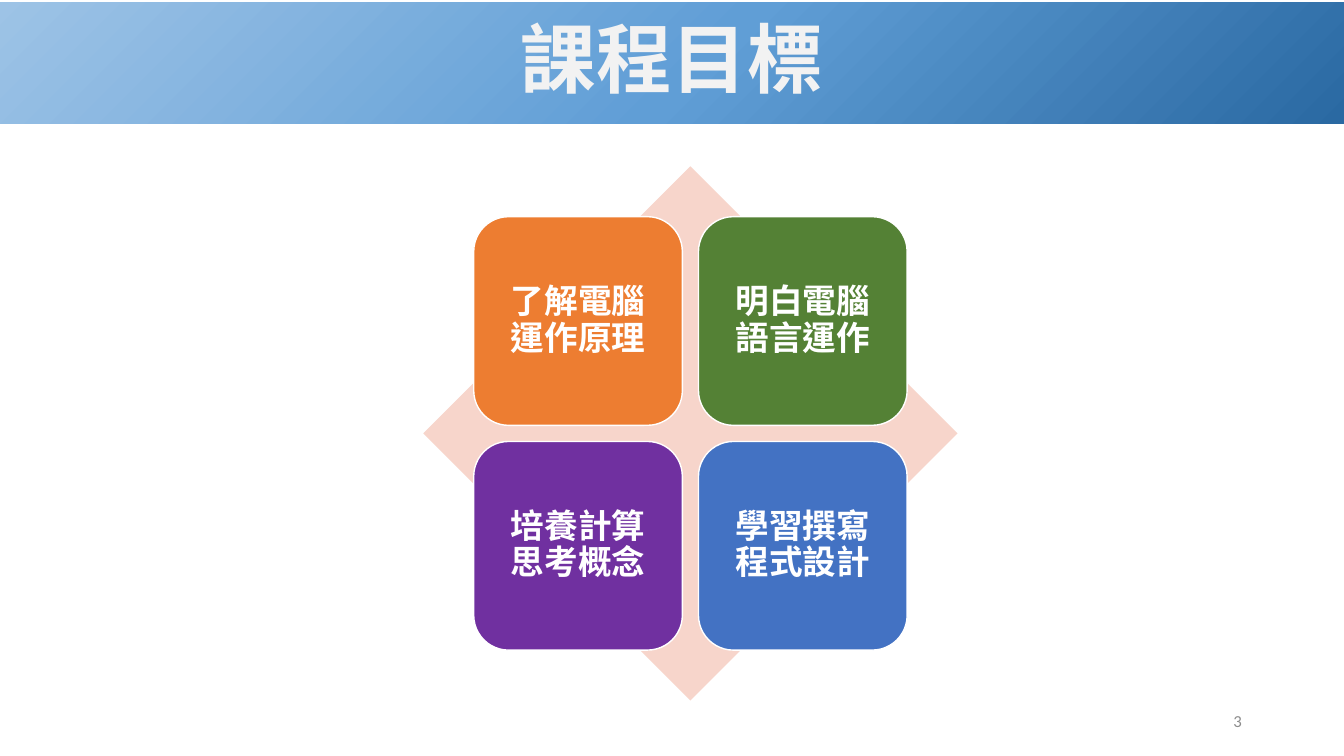
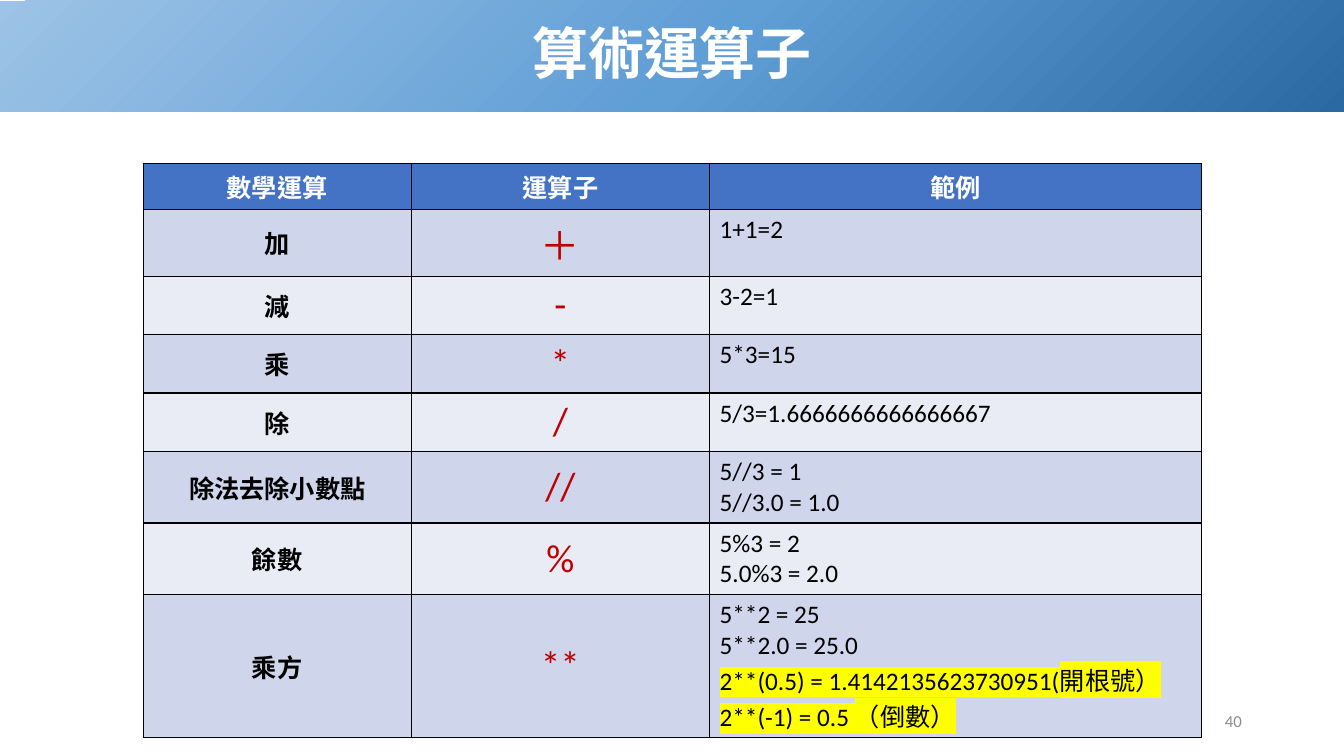
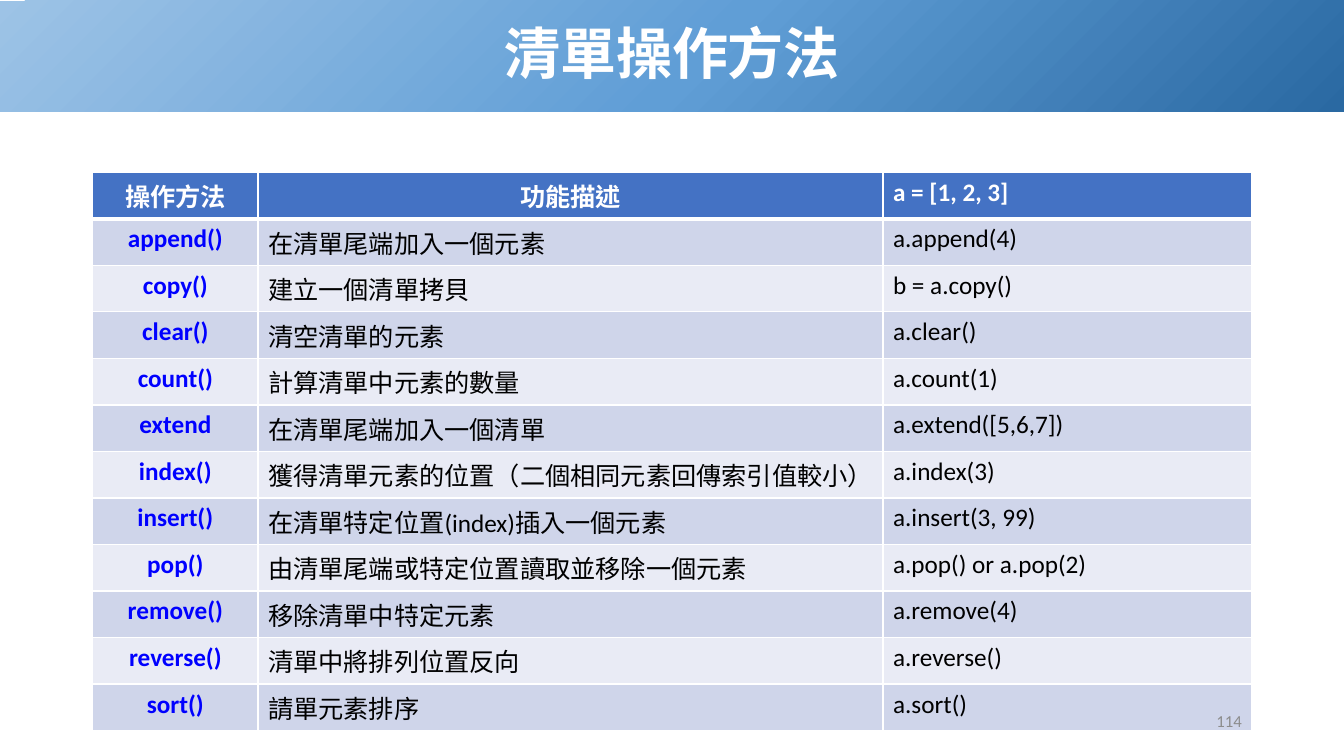
from pptx import Presentation
from pptx.dml.color import RGBColor
from pptx.enum.lang import MSO_LANGUAGE_ID
from pptx.enum.shapes import MSO_SHAPE
from pptx.enum.text import MSO_ANCHOR, PP_ALIGN
from pptx.oxml import parse_xml
from pptx.oxml.ns import nsdecls
from pptx.util import Inches, Pt

LEFT, CENTER, RIGHT = PP_ALIGN.LEFT, PP_ALIGN.CENTER, PP_ALIGN.RIGHT
TOP, MIDDLE = MSO_ANCHOR.TOP, MSO_ANCHOR.MIDDLE
DIAMOND, ROUNDED, RECTANGLE = MSO_SHAPE.DIAMOND, MSO_SHAPE.ROUNDED_RECTANGLE, MSO_SHAPE.RECTANGLE
CHINESE = MSO_LANGUAGE_ID.TRADITIONAL_CHINESE

WHITE, BLACK, GRAY = "FFFFFF", "000000", "8C8C8C"
HEADER_BLUE, BANDS = "4472C4", ("CFD5EA", "E9EBF5")
OPERATOR_RED, METHOD_BLUE, HIGHLIGHT = "C00000", "0000FF", "FFFF00"
BAND_STOPS = ((0, "2A69A2"), (48, "609ED6"), (100, "9DC3E6"))
SLIDE_WIDTH, SLIDE_HEIGHT = 40 / 3, 7.5

color = RGBColor.from_string


def write(frame, text, size, ink, bold=False, align=CENTER, font="Calibri",
          spacing=None, marked=()):
    """Write each line of text as a paragraph; marked lines get a highlight."""
    frame.word_wrap = True
    for index, line in enumerate(text.split("\n")):
        paragraph = frame.paragraphs[0] if index == 0 else frame.add_paragraph()
        paragraph.alignment = align
        if spacing:
            paragraph.line_spacing = spacing
        run = paragraph.add_run()
        run.text = line
        run.font.size = Pt(size)
        run.font.bold = bold
        run.font.color.rgb = color(ink)
        run.font.name = font
        run.font.language_id = CHINESE
        if index in marked:
            latin = run.font._element.find("{*}latin")
            latin.addprevious(parse_xml(
                f'<a:highlight {nsdecls("a")}><a:srgbClr val="{HIGHLIGHT}"/></a:highlight>'))


def add_block(slide, kind, left, top, width, height, fill=None, line=None):
    """Add a shape without shadow; with no fill given, it takes the band gradient."""
    shape = slide.shapes.add_shape(kind, Inches(left), Inches(top), Inches(width), Inches(height))
    shape.shadow.inherit = False
    if fill:
        shape.fill.solid()
        shape.fill.fore_color.rgb = color(fill)
    else:
        stops = "".join(f'<a:gs pos="{position * 1000}"><a:srgbClr val="{tint}"/></a:gs>'
                        for position, tint in BAND_STOPS)
        shape._element.spPr.find("{*}prstGeom").addnext(parse_xml(
            f'<a:gradFill {nsdecls("a")} rotWithShape="1"><a:gsLst>{stops}</a:gsLst>'
            '<a:path path="circle"><a:fillToRect l="100000" t="100000"/></a:path>'
            '<a:tileRect r="-100000" b="-100000"/></a:gradFill>'))
    if line:
        shape.line.color.rgb = color(line)
        shape.line.width = Pt(1)
    else:
        shape.line.fill.background()
    return shape


presentation = Presentation()
presentation.slide_width = Inches(SLIDE_WIDTH)
presentation.slide_height = Inches(SLIDE_HEIGHT)

# Title bands: title, size, colour, box
titles = [
    ("課程目標", 54, "F2F2F2", (-0.01, 0.02, 13.35, 1.21)),
    ("算術運算子", 40, WHITE, (0, 0.01, SLIDE_WIDTH, 1.1)),
    ("清單操作方法", 40, WHITE, (0, 0.01, SLIDE_WIDTH, 1.1)),
]
slides = []
for title, size, ink, box in titles:
    slide = presentation.slides.add_slide(presentation.slide_layouts[6])
    band = add_block(slide, RECTANGLE, *box)
    band.text_frame.vertical_anchor = MIDDLE
    write(band.text_frame, title, size, ink, bold=True, spacing=0.9)
    slides.append(slide)
goals_slide, operators_slide, methods_slide = slides

# Course goals: four tiles on a diamond
goals = [("了解電腦運作原理", "ED7D31"), ("明白電腦語言運作", "548135"),
         ("培養計算思考概念", "7030A0"), ("學習撰寫程式設計", "4372C3")]
add_block(goals_slide, DIAMOND, 4.2, 1.65, 5.3, 5.3, "F7D5CB")
tile_size, tile_step = 2.07, 2.23
for index, (goal, fill) in enumerate(goals):
    row, column = divmod(index, 2)
    tile = add_block(goals_slide, ROUNDED, 4.7 + column * tile_step, 2.15 + row * tile_step,
                     tile_size, tile_size, fill, WHITE)
    tile.adjustments[0] = 0.167
    frame = tile.text_frame
    frame.vertical_anchor = MIDDLE
    frame.margin_left = frame.margin_right = Inches(0.2)
    frame.margin_top = frame.margin_bottom = Inches(0.1)
    write(frame, goal, 24, WHITE, bold=True, font="Arial", spacing=0.9)

# Table contents
operators = [
    ("數學運算", "運算子", "範例"),
    ("加", "＋", "1+1=2"),
    ("減", "-", "3-2=1"),
    ("乘", "*", "5*3=15"),
    ("除", "/", "5/3=1.6666666666666667"),
    ("除法去除小數點", "//", "5//3 = 1\n5//3.0 = 1.0"),
    ("餘數", "%", "5%3 = 2\n5.0%3 = 2.0"),
    ("乘方", "**", "5**2 = 25\n5**2.0 = 25.0\n"
     "2**(0.5) = 1.4142135623730951(開根號）\n2**(-1) = 0.5 （倒數）"),
]
methods = [
    ("操作方法", "功能描述", "a = [1, 2, 3]"),
    ("append()", "在清單尾端加入一個元素", "a.append(4)"),
    ("copy()", "建立一個清單拷貝", "b = a.copy()"),
    ("clear()", "清空清單的元素", "a.clear()"),
    ("count()", "計算清單中元素的數量", "a.count(1)"),
    ("extend", "在清單尾端加入一個清單", "a.extend([5,6,7])"),
    ("index()", "獲得清單元素的位置（二個相同元素回傳索引值較小）", "a.index(3)"),
    ("insert()", "在清單特定位置(index)插入一個元素", "a.insert(3, 99)"),
    ("pop()", "由清單尾端或特定位置讀取並移除一個元素", "a.pop() or a.pop(2)"),
    ("remove()", "移除清單中特定元素", "a.remove(4)"),
    ("reverse()", "清單中將排列位置反向", "a.reverse()"),
    ("sort()", "請單元素排序", "a.sort()"),
]
operator_heights = [0.46, 0.66] + [0.58] * 3 + [0.71] * 2 + [1.42]
method_heights = [5.54 / len(methods)] * len(methods)

# Column styles: size, colour, bold, alignment, anchor
operator_styles = [(18, BLACK, True, CENTER, MIDDLE), (28, OPERATOR_RED, False, CENTER, MIDDLE),
                   (18, BLACK, False, LEFT, TOP)]
method_styles = [(18, METHOD_BLUE, True, CENTER, TOP), (18, BLACK, False, LEFT, TOP),
                 (18, BLACK, False, LEFT, TOP)]

# Tables: slide, rows, left, top, column widths, row heights, styles,
# header alignment, border colour, width of the rule under the header
tables = [
    (operators_slide, operators, 1.42, 1.62, (2.66, 2.96, 4.88), operator_heights,
     operator_styles, (CENTER, CENTER, CENTER), BLACK, 1),
    (methods_slide, methods, 0.92, 1.71, (1.64, 6.2, 3.66), method_heights,
     method_styles, (CENTER, CENTER, LEFT), WHITE, 3),
]
for slide, rows, left, top, widths, heights, styles, header_aligns, border, header_rule in tables:
    table = slide.shapes.add_table(len(rows), len(widths), Inches(left), Inches(top),
                                   Inches(sum(widths)), Inches(sum(heights))).table
    table.first_row = table.horz_banding = False
    for column, width in zip(table.columns, widths):
        column.width = Inches(width)
    for row_index, texts in enumerate(rows):
        table.rows[row_index].height = Inches(heights[row_index])
        for column_index, text in enumerate(texts):
            cell = table.cell(row_index, column_index)
            size, ink, bold, align, anchor = styles[column_index]
            fill = BANDS[(row_index - 1) % 2]
            if row_index == 0:
                size, ink, bold, anchor, fill = 18, WHITE, True, TOP, HEADER_BLUE
                align = header_aligns[column_index]
            for side in "LRTB":
                under_header = (row_index, side) in ((0, "B"), (1, "T"))
                weight = Pt(header_rule if under_header else 1)
                cell._tc.get_or_add_tcPr().append(parse_xml(
                    f'<a:ln{side} {nsdecls("a")} w="{weight}"><a:solidFill>'
                    f'<a:srgbClr val="{border}"/></a:solidFill></a:ln{side}>'))
            cell.fill.solid()
            cell.fill.fore_color.rgb = color(fill)
            cell.vertical_anchor = anchor
            write(cell.text_frame, text, size, ink, bold, align, marked=(2, 3))

# Page numbers
for slide, number in zip(slides, ("3", "40", "114")):
    box = slide.shapes.add_textbox(Inches(9.42), Inches(6.95), Inches(3), Inches(0.4))
    box.text_frame.vertical_anchor = MIDDLE
    write(box.text_frame, number, 12, GRAY, align=RIGHT)

presentation.save("out.pptx")
